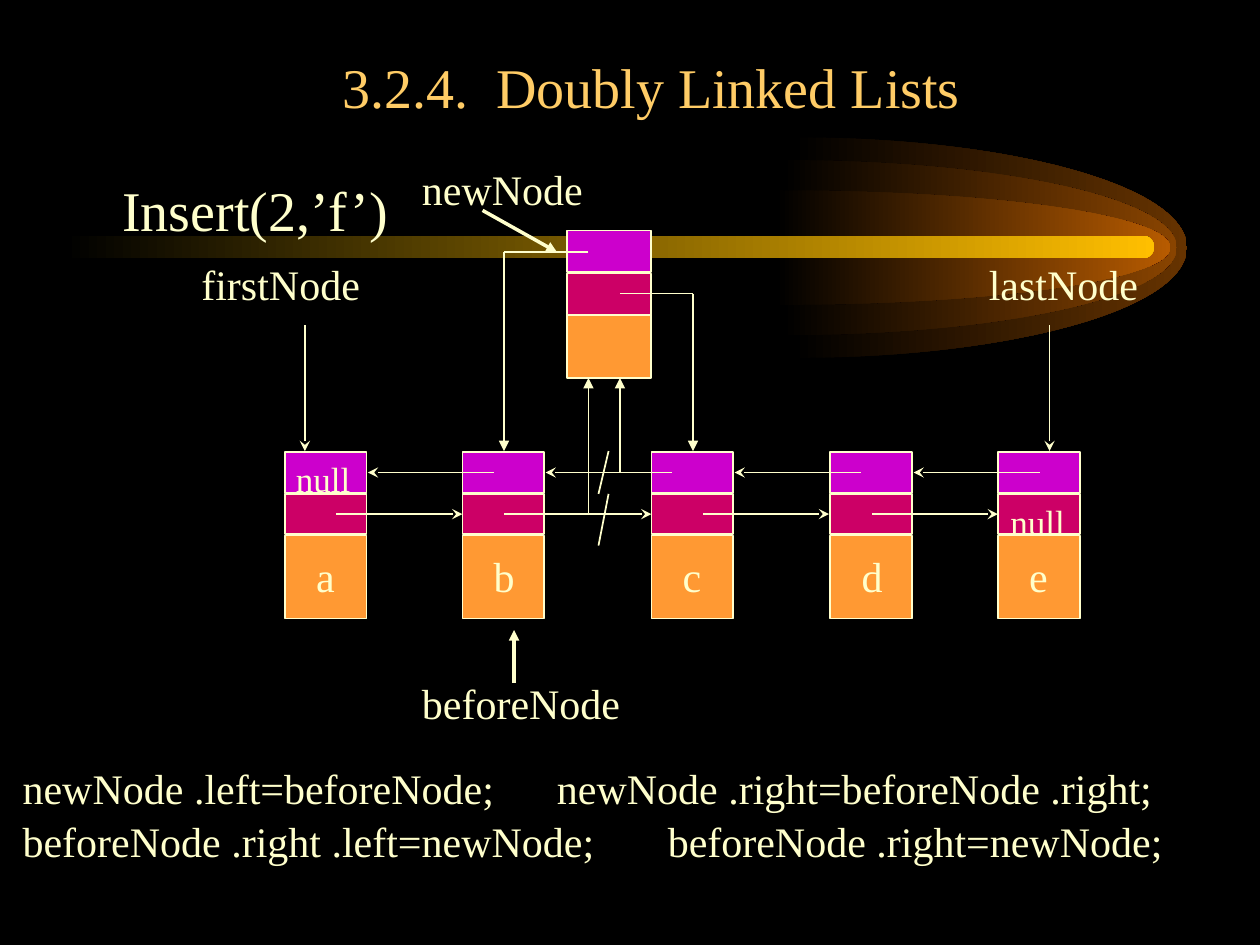
"""Build the slide on inserting a node into a doubly linked list."""
import lxml.etree
import pptx
import pptx.dml.color
import pptx.enum.shapes
import pptx.enum.text
import pptx.oxml.ns
import pptx.util

Inches = pptx.util.Inches
RGBColor = pptx.dml.color.RGBColor
SHAPES = pptx.enum.shapes.MSO_SHAPE
qn = pptx.oxml.ns.qn

BLACK = RGBColor(0x00, 0x00, 0x00)
CREAM = RGBColor(0xFF, 0xFF, 0xCC)
TITLE_GOLD = RGBColor(0xFF, 0xCC, 0x66)
BAR_GOLD = RGBColor(0xFF, 0xBF, 0x00)
LEFT_LINK = RGBColor(0xCC, 0x00, 0xCC)
RIGHT_LINK = RGBColor(0xCC, 0x00, 0x66)
DATA = RGBColor(0xFF, 0x99, 0x33)
GLOWS = [
    (6.29, 1.09, 1.75, RGBColor(0x66, 0x33, 0x00)),
    (6.21, 1.27, 1.39, RGBColor(0x89, 0x44, 0x00)),
    (6.16, 1.51, 0.91, RGBColor(0xB7, 0x5B, 0x00)),
]
HALF_ELLIPSE = [(0.55, 0), (1, 0.22), (1, 0.5), (1, 0.78), (0.55, 1), (0, 1)]


def add_label(text, left, top, width, height=0.5, size=24, color=CREAM, wrap=True):
    box = page.shapes.add_textbox(Inches(left), Inches(top), Inches(width), Inches(height))
    box.text_frame.word_wrap = wrap
    para = box.text_frame.paragraphs[0]
    para.text = text
    for span in para.runs:
        span.font.name = "Times New Roman"
        span.font.size = pptx.util.Pt(size)
        span.font.color.rgb = color
    return box


def add_line(start_x, start_y, end_x, end_y, head=None, width=1):
    line = page.shapes.add_connector(
        pptx.enum.shapes.MSO_CONNECTOR.STRAIGHT,
        Inches(start_x), Inches(start_y), Inches(end_x), Inches(end_y))
    line.line.color.rgb = CREAM
    line.line.width = pptx.util.Pt(width)
    if head:
        lxml.etree.SubElement(line.line._get_or_add_ln(), qn("a:tailEnd"), type=head)
    lxml.etree.SubElement(line._element.spPr, qn("a:effectLst"))


deck = pptx.Presentation()
deck.slide_width = Inches(10)
deck.slide_height = Inches(7.5)
page = deck.slides.add_slide(deck.slide_layouts[6])
page.background.fill.solid()
page.background.fill.fore_color.rgb = BLACK

comet = []
for left, top, height, color in GLOWS:
    outline = page.shapes.build_freeform(Inches(left), Inches(top))
    outline.add_line_segments(
        [(Inches(left + 3.13 * x), Inches(top + height * y)) for x, y in HALF_ELLIPSE], close=True)
    glow = outline.convert_to_shape()
    steps = list(glow._element.iter(qn("a:lnTo")))[:len(HALF_ELLIPSE)]
    for first in (0, 3):
        curve = lxml.etree.Element(qn("a:cubicBezTo"))
        steps[first].addprevious(curve)
        for step in steps[first:first + 3]:
            curve.append(step[0])
            step.getparent().remove(step)
    comet.append((glow, color))
bar = page.shapes.add_shape(
    SHAPES.ROUNDED_RECTANGLE, Inches(0.5), Inches(1.87), Inches(8.66), Inches(0.18))
bar.adjustments[0] = 0.5
comet.append((bar, BAR_GOLD))
for shape, color in comet:
    shape.shadow.inherit = False
    shape.line.fill.background()
    shape.fill.gradient()
    shape.fill.gradient_angle = 0
    for stop, stop_color, position in zip(shape.fill.gradient_stops, (BLACK, color), (0, 1)):
        stop.color.rgb = stop_color
        stop.position = position

title = add_label("3.2.4.  Doubly Linked Lists", 0.92, 0.25, 8.5, 0.75, 32, TITLE_GOLD)
title.text_frame.vertical_anchor = pptx.enum.text.MSO_ANCHOR.BOTTOM
title.text_frame.paragraphs[0].alignment = pptx.enum.text.PP_ALIGN.CENTER
call = add_label("Insert(2,’f’)", 0.75, 1.33, 8.5, 4.5, 32)
call.text_frame.margin_left = Inches(0.22)
call.text_frame.margin_top = Inches(0.06)

nodes = dict(zip("abcde", (2.26, 3.67, 5.17, 6.59, 7.92)))
cells = [
    (4.5, 1.83, 0.67, 0.33, LEFT_LINK),
    (4.5, 2.17, 0.67, 0.33, RIGHT_LINK),
    (4.5, 2.5, 0.67, 0.5, DATA),
]
for left in nodes.values():
    cells += [
        (left, 3.59, 0.65, 0.32, LEFT_LINK),
        (left, 3.92, 0.65, 0.32, RIGHT_LINK),
        (left, 4.25, 0.65, 0.66, DATA),
    ]
for left, top, width, height, color in cells:
    cell = page.shapes.add_shape(
        SHAPES.RECTANGLE, Inches(left), Inches(top), Inches(width), Inches(height))
    cell.shadow.inherit = False
    cell.fill.solid()
    cell.fill.fore_color.rgb = color
    cell.line.color.rgb = CREAM
    cell.line.width = pptx.util.Pt(1)

for letter, left in nodes.items():
    add_label(letter, left + 0.15, 4.32, 0.35, wrap=False)
for left, top in ((2.25, 3.58), (7.92, 3.92)):
    add_label("null", left, top, 0.67, 0.43, 20)
for name, left, top, width in (
    ("firstNode", 1.5, 2, 1.83),
    ("lastNode", 7.75, 2, 1.83),
    ("beforeNode", 3.25, 5.33, 1.92),
    ("newNode", 3.25, 1.25, 1.58),
):
    add_label(name, left, top, width)

for start, end in ((2.67, 3.67), (4, 5.17), (5.58, 6.58), (6.92, 7.92)):
    add_line(start, 4.08, end, 4.08, "stealth")
for start in (3.92, 5.33, 6.83, 8.25):
    add_line(start, 3.75, start - 1, 3.75, "stealth")
for x in (2.42, 8.33):
    add_line(x, 2.58, x, 3.58, "stealth")

add_line(4.08, 5.42, 4.08, 5, "triangle", 2)
add_line(3.83, 1.67, 4.42, 2, "triangle", 2)
add_line(4.67, 2, 4, 2)
add_line(4.92, 2.33, 5.5, 2.33)
for x, start, end in ((4, 2, 3.58), (5.5, 2.33, 3.58), (4.92, 3.75, 3), (4.67, 4.08, 3)):
    add_line(x, start, x, end, "triangle")
for start, end in ((3.58, 3.92), (3.92, 4.33)):
    add_line(4.83, start, 4.75, end)

for text, top, tab in (
    ("newNode .left=beforeNode;\tnewNode .right=beforeNode .right;", 6, 4.24),
    ("beforeNode .right .left=newNode;\tbeforeNode .right=newNode;", 6.42, 5.12),
):
    code = add_label(text, 0, top, 10)
    code.text_frame.margin_left = Inches(0.18)
    tabs = lxml.etree.SubElement(code.text_frame.paragraphs[0]._p.get_or_add_pPr(), qn("a:tabLst"))
    lxml.etree.SubElement(tabs, qn("a:tab"), pos=str(Inches(tab)), algn="l")

deck.save("out.pptx")
